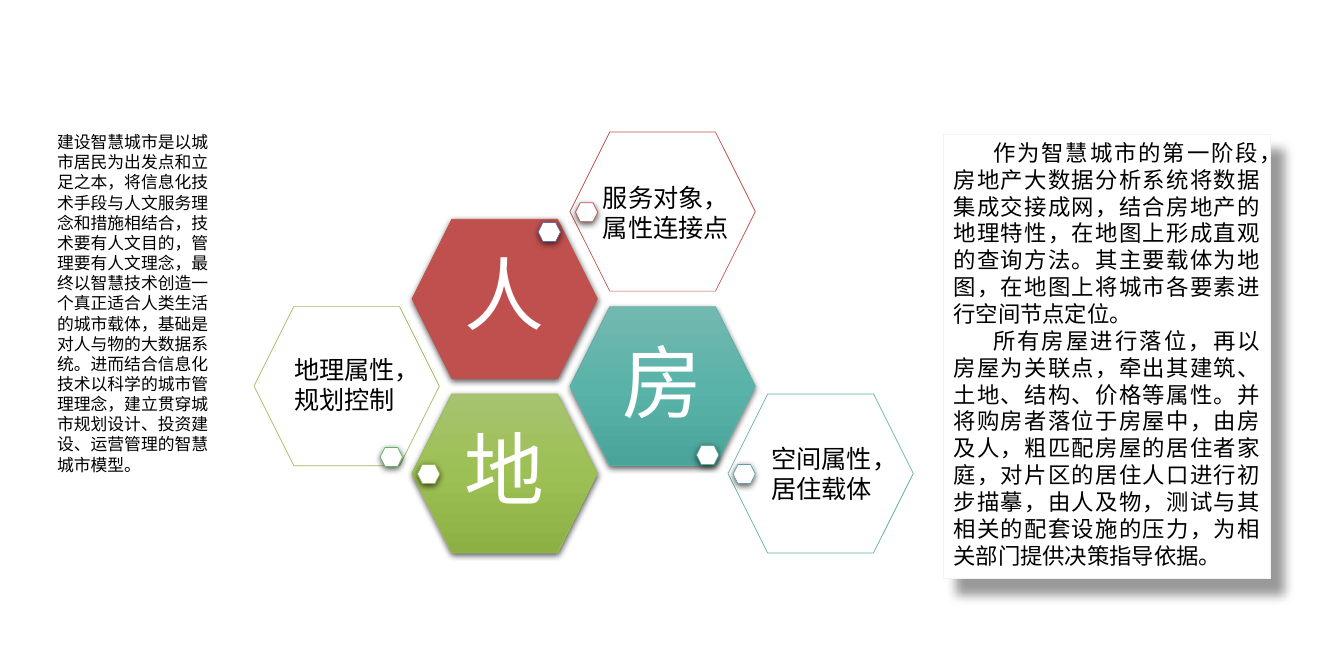
from dataclasses import dataclass

from lxml import etree
from pptx import Presentation
from pptx.dml.color import RGBColor
from pptx.enum.lang import MSO_LANGUAGE_ID
from pptx.enum.shapes import MSO_SHAPE
from pptx.enum.text import MSO_ANCHOR, PP_ALIGN
from pptx.oxml import parse_xml
from pptx.oxml.ns import nsdecls, qn
from pptx.util import Cm, Pt

HEX = MSO_SHAPE.HEXAGON
RECT = MSO_SHAPE.RECTANGLE
MID = MSO_ANCHOR.MIDDLE
LEFT, CENTER, FULL = PP_ALIGN.LEFT, PP_ALIGN.CENTER, PP_ALIGN.JUSTIFY
CHINESE = MSO_LANGUAGE_ID.SIMPLIFIED_CHINESE


@dataclass(frozen=True)
class Theme:
    ink: str = "000000"
    white: str = "FFFFFF"
    edge: str = "F2F2F2"
    red: str = "C0504D"
    green: str = "9BBB59"
    teal: str = "5EAFA6"
    lime_fade: tuple = ("A6C36F", "9DC054", "8DB045")
    teal_fade: tuple = ("73B8B0", "5AB3A9", "4BA49A")
    latin: str = "Arial"
    side: str = "Noto Sans CJK JP"
    body: str = "Noto Sans CJK SC"
    note: int = 12
    text: int = 16
    label: int = 18
    big: int = 57
    # Shadows: opacity %, blur pt, distance pt, angle
    soft: tuple = (63, 4.5, 1.5, 90)
    deep: tuple = (40, 8, 14, 50)


T = Theme()

# Honeycomb: left and top of the first cell, cell size, steps
GRID_X, GRID_Y = 6.4, 3.33
CELL_W, CELL_H = 4.67, 4.01
STEP_X, STEP_Y = 3.98, 2.2
DOT_W, DOT_H = 0.56, 0.48

# Sign, fill, line, tile (column, row), label, ring (column, row),
# label box, then place and line of the dots on tile and ring
GROUPS = [
    ("地", T.lime_fade, T.green, (1, 3), "地理属性，规划控制", (0, 2),
     (7.16, 8.81, 3.45, 1.8), (10.52, 11.71, T.green), (9.58, 11.28, "5FB65B")),
    ("房", T.teal_fade, T.teal, (2, 2), "空间属性，居住载体", (3, 3),
     (19.18, 11.05, 3.38, 1.8), (17.55, 11.23, "5DB18E"), (18.47, 11.71, "5F9DAC")),
    ("人", T.red, T.red, (1, 1), "服务对象，属性连接点", (2, 0),
     (14.94, 4.47, 3.99, 1.8), (13.56, 5.61, "626EA7"), (14.5, 5.11, T.red)),
]

SIDE = (
    "建设智慧城市是以城市居民为出发点和立足之本，将信息化技术手段与人文服务理念和措施相结合，"
    "技术要有人文目的，管理要有人文理念，最终以智慧技术创造一个真正适合人类生活的城市载体，"
    "基础是对人与物的大数据系统。进而结合信息化技术以科学的城市管理理念，"
    "建立贯穿城市规划设计、投资建设、运营管理的智慧城市模型。"
)
BODY = [
    "作为智慧城市的第一阶段，房地产大数据分析系统将数据集成交接成网，结合房地产的地理特性，"
    "在地图上形成直观的查询方法。其主要载体为地图，在地图上将城市各要素进行空间节点定位。",
    "所有房屋进行落位，再以房屋为关联点，牵出其建筑、土地、结构、价格等属性。"
    "并将购房者落位于房屋中，由房及人，粗匹配房屋的居住者家庭，对片区的居住人口进行初步描摹，"
    "由人及物，测试与其相关的配套设施的压力，为相关部门提供决策指导依据。",
]


def write(shape, lines, size, face, color=T.ink, align=LEFT, indent=0):
    frame = shape.text_frame
    frame.word_wrap = True
    frame.text = "\n".join(lines)
    for para in frame.paragraphs:
        para.alignment = align
        if indent:
            para._p.get_or_add_pPr().set("indent", str(Cm(indent)))
        for run in para.runs:
            font = run.font
            font.size, font.name = Pt(size), face
            font.color.rgb = RGBColor.from_string(color)
            font.language_id = CHINESE
            east = etree.SubElement(run._r.get_or_add_rPr(), qn("a:ea"))
            east.set("typeface", face)
    return frame


def cast(shape, shade):
    alpha, blur, dist, angle = shade
    effects = shape._element.spPr.find(qn("a:effectLst"))
    effects.append(parse_xml(
        f'<a:outerShdw {nsdecls("a")} blurRad="{Pt(blur)}" dist="{Pt(dist)}" '
        f'dir="{angle * 60000}" algn="ctr" rotWithShape="0"><a:srgbClr val="{T.ink}">'
        f'<a:alpha val="{alpha * 1000}"/></a:srgbClr></a:outerShdw>'))


def fade(shape, colors):
    stops = "".join(
        f'<a:gs pos="{i * 50000}"><a:srgbClr val="{color}"/></a:gs>'
        for i, color in enumerate(colors))
    shape.fill.background()
    props = shape._element.spPr
    props.replace(props.find(qn("a:noFill")), parse_xml(
        f'<a:gradFill {nsdecls("a")} rotWithShape="1"><a:gsLst>{stops}</a:gsLst>'
        '<a:lin ang="5400000" scaled="0"/></a:gradFill>'))


def add_form(slide, kind, box, fill, line, width=0.5, shade=None):
    shape = slide.shapes.add_shape(kind, *map(Cm, box))
    shape.shadow.inherit = False
    if isinstance(fill, tuple):
        fade(shape, fill)
    else:
        shape.fill.solid()
        shape.fill.fore_color.rgb = RGBColor.from_string(fill)
    shape.line.color.rgb = RGBColor.from_string(line)
    shape.line.width = Pt(width)
    if shade:
        cast(shape, shade)
    return shape


def add_cell(slide, spot, fill, line, shade=None):
    col, row = spot
    box = (GRID_X + col * STEP_X, GRID_Y + row * STEP_Y, CELL_W, CELL_H)
    return add_form(slide, HEX, box, fill, line, shade=shade)


def add_tile(slide, sign, spot, fill, line):
    tile = add_cell(slide, spot, fill, line, T.soft)
    frame = write(tile, [sign], T.big, T.latin, T.white, CENTER)
    frame.vertical_anchor = MID
    frame.margin_left = frame.margin_right = 0
    frame.margin_top = frame.margin_bottom = 0
    frame.paragraphs[0].line_spacing = 0.9


def add_ring(slide, spot, line):
    ring = add_cell(slide, spot, T.white, line)
    color = ring._element.spPr.find(qn("a:solidFill"))[0]
    etree.SubElement(color, qn("a:alpha")).set("val", "90000")


def add_dot(slide, left, top, line):
    add_form(slide, HEX, (left, top, DOT_W, DOT_H), T.white, line, shade=T.soft)


def add_text(slide, box, text, size, face):
    write(slide.shapes.add_textbox(*map(Cm, box)), [text], size, face)


def main():
    deck = Presentation()
    deck.slide_width, deck.slide_height = Cm(33.86), Cm(16.51)
    slide = deck.slides.add_slide(deck.slide_layouts[6])

    # Text panel on the right
    panel = add_form(slide, RECT, (23.77, 3.38, 8.23, 11.2),
                     T.white, T.edge, 0.75, T.deep)
    frame = write(panel, BODY, T.text, T.body, align=FULL, indent=1)
    frame.vertical_anchor = MSO_ANCHOR.TOP

    # Side text on the left
    add_text(slide, (1.19, 3.2, 4.45, 12.52), SIDE, T.note, T.side)

    # Honeycomb
    for sign, fill, line, tile, label, ring, box, inner, outer in GROUPS:
        add_tile(slide, sign, tile, fill, line)
        add_dot(slide, *inner)
        add_ring(slide, ring, line)
        add_dot(slide, *outer)
        add_text(slide, box, label, T.label, T.latin)

    deck.save("out.pptx")


if __name__ == "__main__":
    main()
